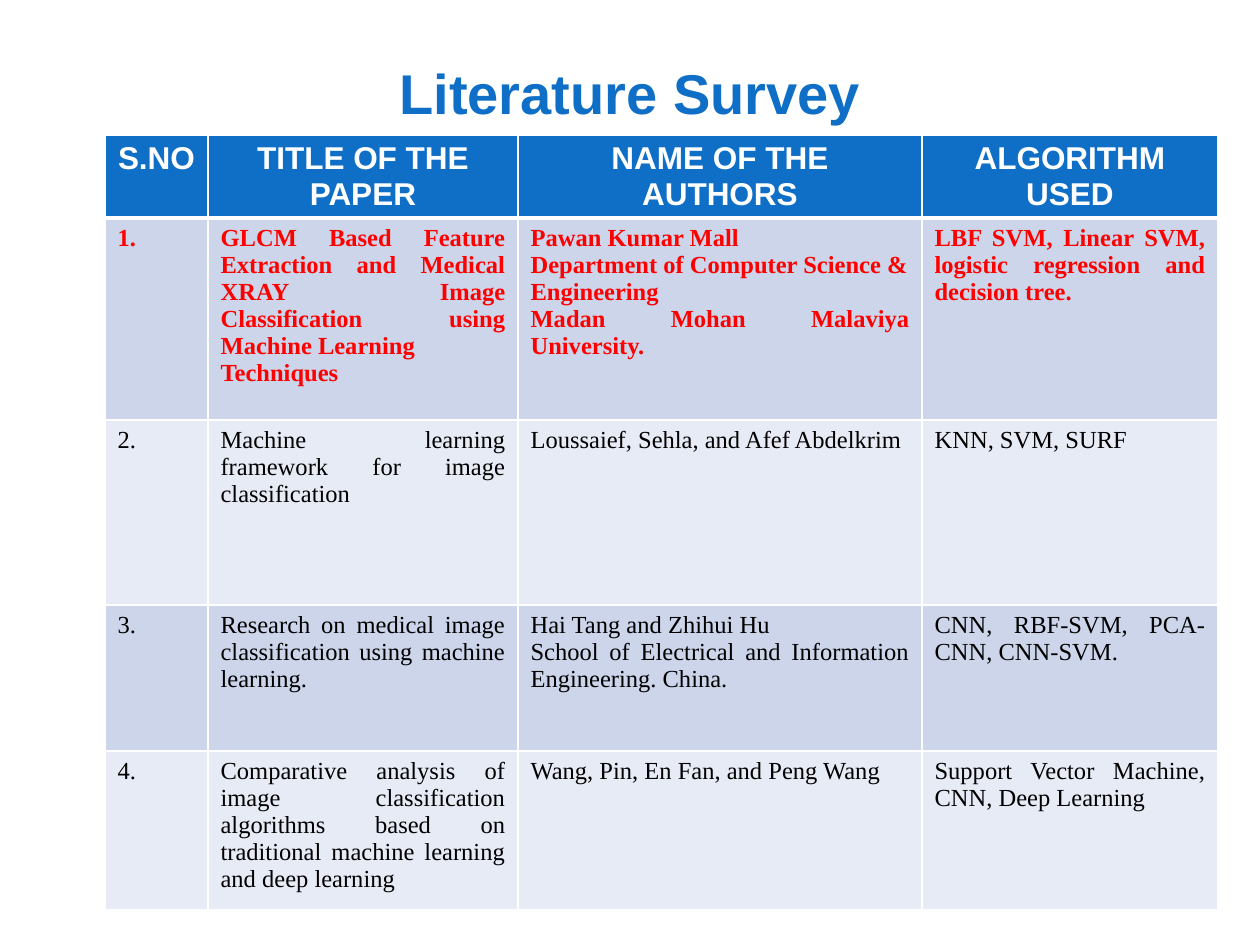
from dataclasses import dataclass

from lxml.etree import SubElement
from pptx import Presentation
from pptx.dml.color import RGBColor
from pptx.enum.text import MSO_ANCHOR, PP_ALIGN
from pptx.oxml.ns import qn
from pptx.util import Emu, Pt

PIXEL = 914400 / 126


@dataclass(frozen=True)
class Theme:
    heading_font: str = "Arial"
    body_font: str = "Times New Roman"
    title_size: int = 32
    header_size: int = 18
    body_size: int = 14
    blue: str = "0F6FC6"
    white: str = "FFFFFF"
    black: str = "000000"
    red: str = "FF0000"
    bands: tuple = ("CCD5EA", "E7EBF5")


theme = Theme()


def px(length):
    return Emu(round(length * PIXEL))


def style(paragraph, name, size, color, bold, alignment):
    paragraph.alignment = alignment
    font = paragraph.font
    font.name, font.size, font.bold = name, Pt(size), bold
    font.color.rgb = RGBColor.from_string(color)


presentation = Presentation()
presentation.slide_width, presentation.slide_height = px(1260), px(945)
slide = presentation.slides.add_slide(presentation.slide_layouts[5])

# Title
title = slide.shapes.title
title.left, title.top, title.width, title.height = px(63), px(26), px(1134), px(100)
frame = title.text_frame
frame.text = "Literature Survey"
frame.vertical_anchor = MSO_ANCHOR.BOTTOM
frame.margin_left = frame.margin_right = frame.margin_bottom = 0
style(frame.paragraphs[0], theme.heading_font, theme.title_size, theme.blue, True, PP_ALIGN.CENTER)

# Survey table: a line break in a cell starts a new paragraph
survey = [
    ("S.NO", "TITLE OF THE PAPER", "NAME OF THE AUTHORS", "ALGORITHM USED"),
    (
        "1.",
        "GLCM Based Feature Extraction and Medical XRAY Image Classification "
        "using Machine Learning\nTechniques",
        "Pawan Kumar Mall\nDepartment of Computer Science &\nEngineering\n"
        "Madan Mohan Malaviya University.",
        "LBF SVM, Linear SVM, logistic regression and decision tree.",
    ),
    (
        "2.",
        "Machine learning framework for image classification",
        "Loussaief, Sehla, and Afef Abdelkrim",
        "KNN, SVM, SURF",
    ),
    (
        "3.",
        "Research on medical image classification using machine learning.",
        "Hai Tang and Zhihui Hu\n"
        "School of Electrical and Information Engineering. China.",
        "CNN, RBF-SVM, PCA-CNN, CNN-SVM.",
    ),
    (
        "4.",
        "Comparative analysis of image classification algorithms based on "
        "traditional machine learning and deep learning",
        "Wang, Pin, En Fan, and Peng Wang",
        "Support Vector Machine, CNN, Deep Learning",
    ),
]
column_widths = (103, 310, 404, 296)
row_heights = (82, 202, 185, 146, 159)

table = slide.shapes.add_table(
    len(survey), len(column_widths),
    px(105), px(135), px(sum(column_widths)), px(sum(row_heights)),
).table
for column, width in zip(table.columns, column_widths):
    column.width = px(width)

for row_index, (row, height, texts) in enumerate(zip(table.rows, row_heights, survey)):
    row.height = px(height)
    is_header = row_index == 0
    is_highlighted = row_index == 1
    if is_header:
        fill_color = theme.blue
        text_style = (theme.heading_font, theme.header_size, theme.white, True, PP_ALIGN.CENTER)
    else:
        fill_color = theme.bands[(row_index - 1) % 2]
        text_color = theme.red if is_highlighted else theme.black
        text_style = (theme.body_font, theme.body_size, text_color, is_highlighted, PP_ALIGN.JUSTIFY)
    border_widths = {
        "a:lnL": 1,
        "a:lnR": 1,
        "a:lnT": 3 if is_highlighted else 1,
        "a:lnB": 3 if is_header else 1,
    }

    for cell, text in zip(row.cells, texts):
        cell.text = text
        for paragraph in cell.text_frame.paragraphs:
            style(paragraph, *text_style)
        properties = cell._tc.get_or_add_tcPr()
        for tag, width in border_widths.items():
            line = SubElement(properties, qn(tag), w=str(Pt(width)))
            line_fill = SubElement(line, qn("a:solidFill"))
            SubElement(line_fill, qn("a:srgbClr"), val=theme.white)
        cell.fill.solid()
        cell.fill.fore_color.rgb = RGBColor.from_string(fill_color)

presentation.save("out.pptx")
